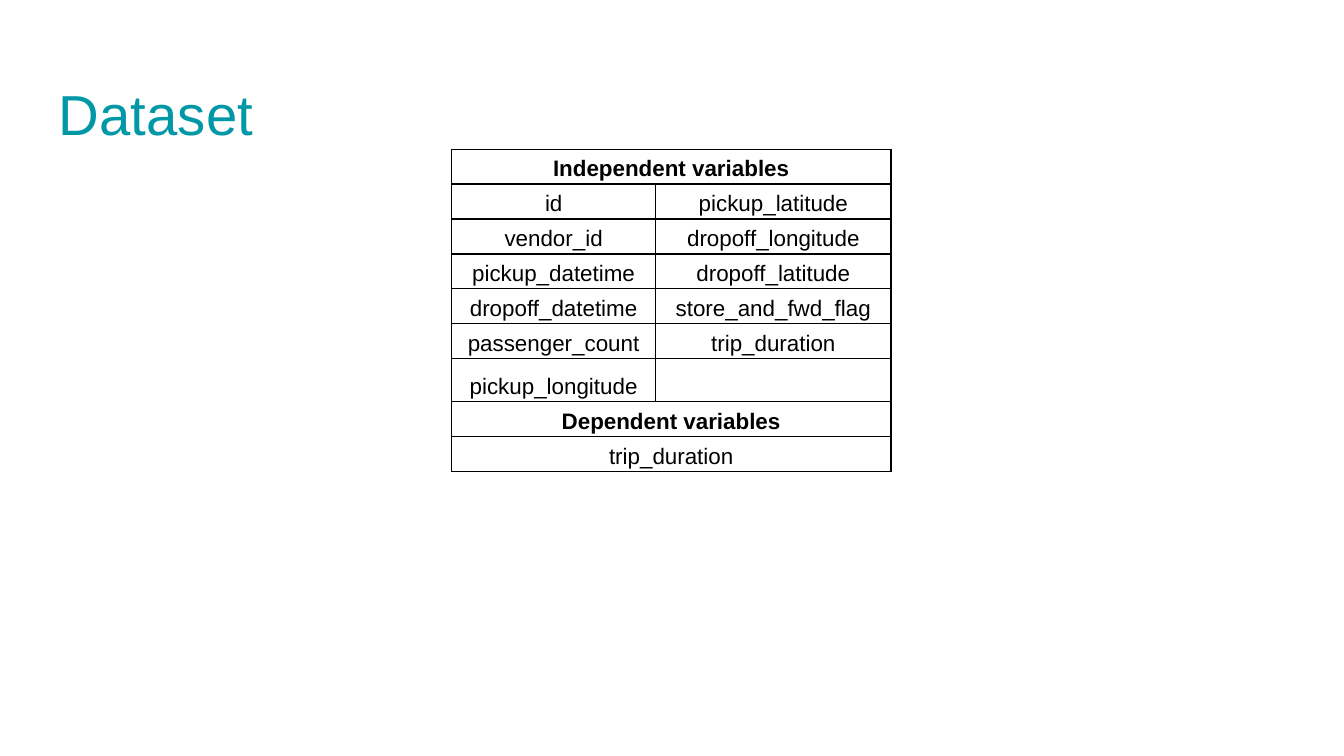
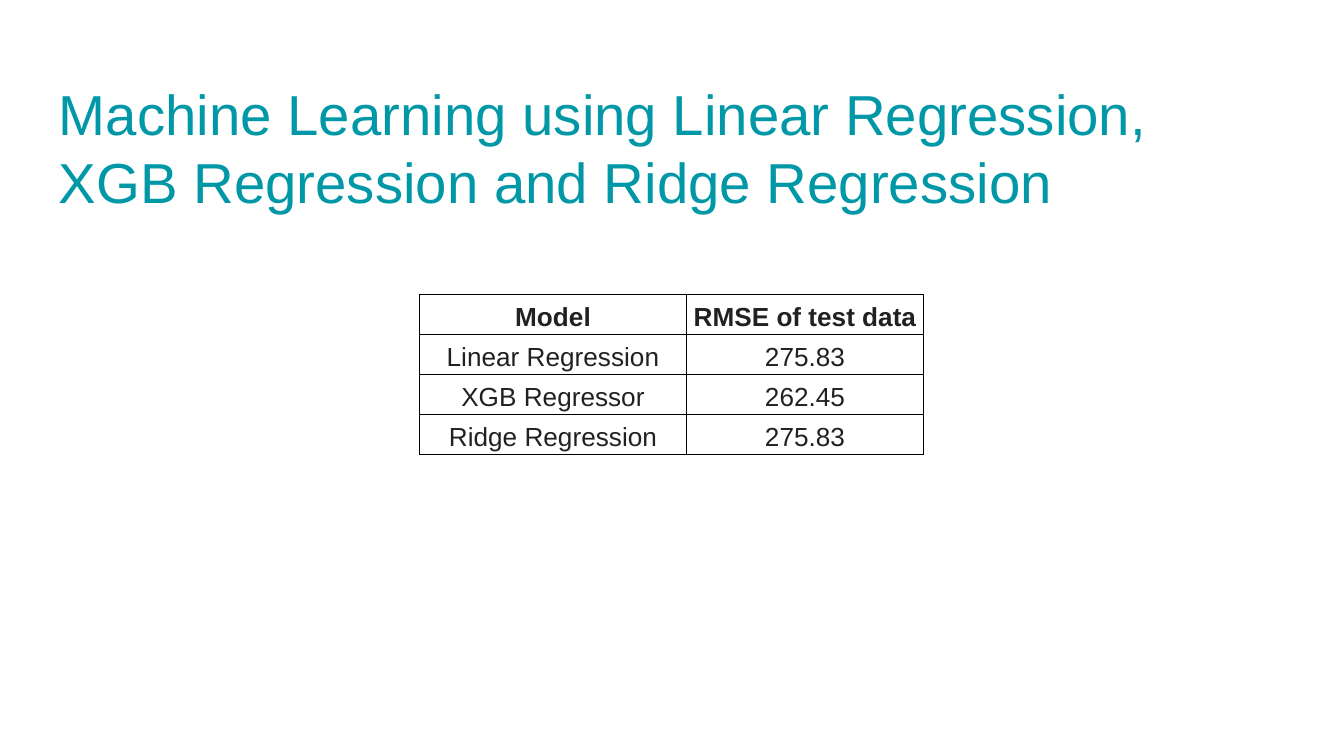
from lxml.etree import SubElement
from pptx import Presentation
from pptx.dml.color import RGBColor
from pptx.enum.text import MSO_ANCHOR, PP_ALIGN
from pptx.oxml.ns import qn
from pptx.util import Inches, Pt

TEAL = RGBColor(0x00, 0x97, 0xA7)
BLACK = RGBColor(0x00, 0x00, 0x00)
CHARCOAL = RGBColor(0x21, 0x21, 0x21)
WHITE = RGBColor(0xFF, 0xFF, 0xFF)
FONT = "Arial"

VARIABLES = [
    ["Independent variables"],
    ["id", "pickup_latitude"],
    ["vendor_id", "dropoff_longitude"],
    ["pickup_datetime", "dropoff_latitude"],
    ["dropoff_datetime", "store_and_fwd_flag"],
    ["passenger_count", "trip_duration"],
    ["pickup_longitude", ""],
    ["Dependent variables"],
    ["trip_duration"],
]
SCORES = [
    ["Model", "RMSE of test data"],
    ["Linear Regression", "275.83"],
    ["XGB Regressor", "262.45"],
    ["Ridge Regression", "275.83"],
]


def set_attrs(obj, values):
    """Set each named attribute on an object."""
    for name, value in values.items():
        setattr(obj, name, value)


def style_font(font, size, color, bold=False):
    """Apply the deck's typeface with a size, colour and weight."""
    set_attrs(font, {"name": FONT, "size": Pt(size), "bold": bold})
    font.color.rgb = color


def add_title(s, text, width, height):
    """Add the teal slide title."""
    sp = s.shapes.add_textbox(Inches(0.34), Inches(0.49), Inches(width), Inches(height))
    tf = sp.text_frame
    margins = ("margin_left", "margin_top", "margin_right", "margin_bottom")
    set_attrs(tf, {"word_wrap": True, **dict.fromkeys(margins, Inches(0.1))})
    r = tf.paragraphs[0].add_run()
    r.text = text
    style_font(r.font, 30.2, TEAL)


def add_borders(cell, color, width):
    """Draw a solid line on all four sides of a cell."""
    tc_pr = cell._tc.get_or_add_tcPr()
    for i, side in enumerate(("a:lnL", "a:lnR", "a:lnT", "a:lnB")):
        ln = tc_pr.makeelement(qn(side), {"w": str(Pt(width))})
        fill = SubElement(ln, qn("a:solidFill"))
        SubElement(fill, qn("a:srgbClr"), val=str(color))
        tc_pr.insert(i, ln)


def fill_cell(cell, text, size, color, bold, fill):
    """Write and format one table cell."""
    set_attrs(cell, {
        "margin_left": Inches(0.03), "margin_right": Inches(0.03),
        "margin_top": Inches(0.01), "margin_bottom": Inches(0.02),
        "vertical_anchor": MSO_ANCHOR.BOTTOM,
    })
    p = cell.text_frame.paragraphs[0]
    set_attrs(p, {"alignment": PP_ALIGN.CENTER, "line_spacing": 1.15,
                  "space_before": Pt(0), "space_after": Pt(0)})
    if text:
        r = p.add_run()
        r.text = text
        style_font(r.font, size, color, bold)
    else:
        SubElement(p._p, qn("a:endParaRPr"), sz=str(size * 100))
    if fill is None:
        cell.fill.background()
    else:
        cell.fill.solid()
        cell.fill.fore_color.rgb = fill
    add_borders(cell, BLACK, 0.75)


def add_grid(s, rows, left, top, widths, heights, size, color, bold_rows, fill=None):
    """Add a bordered table; a row with a single entry spans all columns."""
    frame = s.shapes.add_table(len(rows), len(widths), Inches(left), Inches(top),
                               Inches(sum(widths)), Inches(sum(heights)))
    table = frame.table
    set_attrs(table, {"first_row": False, "horz_banding": False})
    for column, width in zip(table.columns, widths):
        column.width = Inches(width)
    for i, (entries, height) in enumerate(zip(rows, heights)):
        table.rows[i].height = Inches(height)
        for j in range(len(widths)):
            text = entries[j] if j < len(entries) else ""
            fill_cell(table.cell(i, j), text, size, color, i in bold_rows, fill)
        if len(entries) == 1:
            table.cell(i, 0).merge(table.cell(i, len(widths) - 1))


def main():
    """Build both slides and save the deck."""
    prs = Presentation()
    set_attrs(prs, {"slide_width": Inches(10), "slide_height": Inches(10) * 9 // 16})
    blank = prs.slide_layouts[6]

    s = prs.slides.add_slide(blank)
    add_title(s, "Dataset", 9.32, 0.63)
    heights = [0.32 if "" in row else 0.25 for row in VARIABLES]
    add_grid(s, VARIABLES, 3.36, 1.11, [1.52, 1.75], heights, 12, BLACK, {0, 7})

    s = prs.slides.add_slide(blank)
    add_title(s, "Machine Learning using Linear Regression, "
              "XGB Regression and Ridge Regression", 8.9, 1.39)
    add_grid(s, SCORES, 3.12, 2.19, [1.99, 1.76], [0.27] * len(SCORES), 14,
             CHARCOAL, {0}, WHITE)

    prs.save("out.pptx")


if __name__ == "__main__":
    main()
